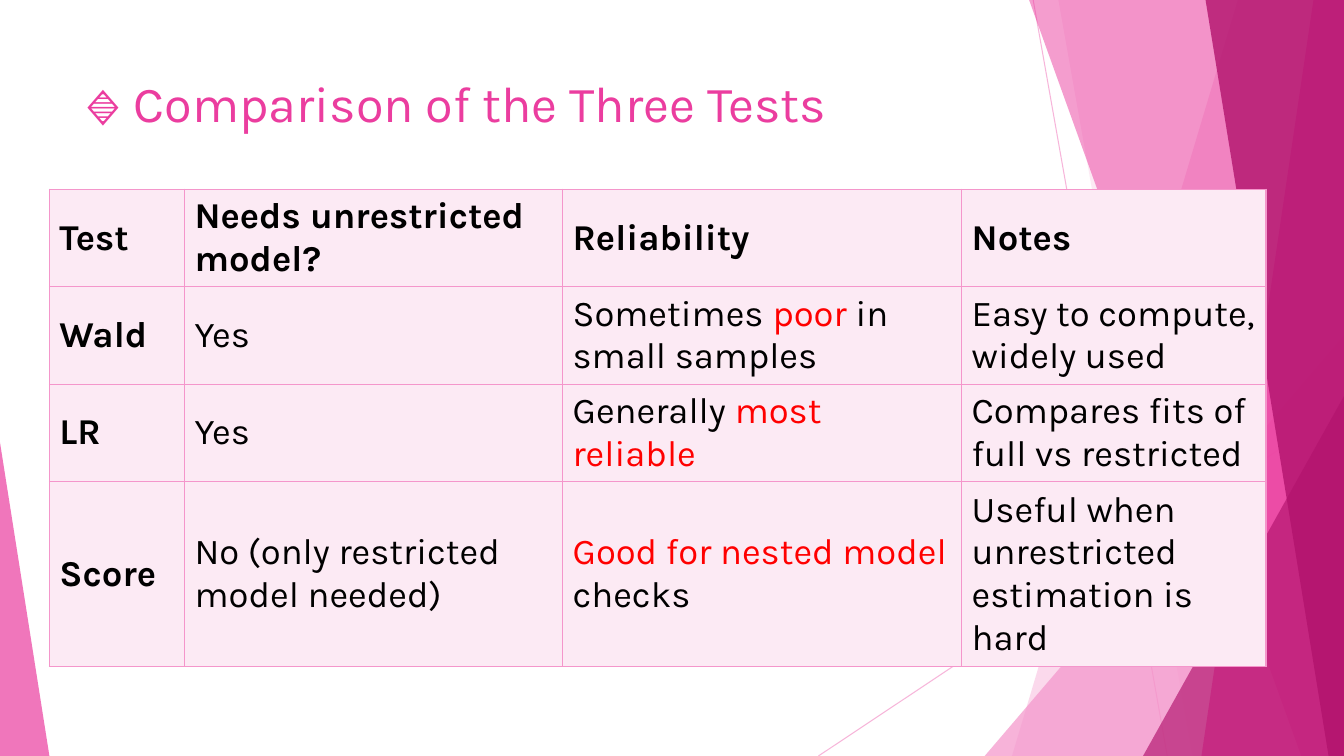
from dataclasses import dataclass

from lxml import etree
from pptx import Presentation
from pptx.dml.color import RGBColor
from pptx.enum.dml import MSO_FILL
from pptx.enum.shapes import MSO_CONNECTOR, MSO_SHAPE
from pptx.enum.text import MSO_ANCHOR
from pptx.oxml.ns import qn
from pptx.util import Pt

STRAIGHT = MSO_CONNECTOR.STRAIGHT
TRIANGLE = MSO_SHAPE.ISOSCELES_TRIANGLE
MIDDLE, TOP = MSO_ANCHOR.MIDDLE, MSO_ANCHOR.TOP
SOLID = MSO_FILL.SOLID

WIDTH, HEIGHT = 960, 540
FONT = "Karla"
COLORS = {
    "light": "F496CB",
    "pink": "EB3D9F",
    "dark": "B2136D",
    "cell": "FCEAF4",
    "black": "000000",
    "red": "FF0000",
}


@dataclass
class Ray:
    """A thin line from start to end."""
    x1: float
    y1: float
    x2: float
    y2: float


@dataclass
class Band:
    """A full-height facet that reaches to the right edge of the page."""
    top_x: float
    bottom_x: float
    color: str
    opacity: int


@dataclass
class Corner:
    """A triangle standing on the bottom edge; apex 0 is left, 1 is right."""
    left: float
    top: float
    width: float
    apex: int
    color: str
    opacity: int


DECORATION = [
    Ray(738, 0, 833.8, HEIGHT),
    Ray(WIDTH, 290.2, 584.6, HEIGHT),
    Band(884.2, 722.9, "light", 36),
    Band(756, 851.8, "light", 20),
    Corner(703.4, 239.8, 256.6, 1, "light", 72),
    Band(735.1, 929.5, "pink", 50),
    Band(938.2, 858.2, "pink", 70),
    Band(861.1, 949, "dark", 80),
    Corner(816.5, 283, 143.5, 1, "dark", 66),
    Corner(0, 316.1, 35.3, 0, "pink", 70),
]

TITLE = "🔹 Comparison of the Three Tests"

# Text between asterisks is red
ROWS = [
    ["Test", "Needs unrestricted model?", "Reliability", "Notes"],
    ["Wald", "Yes", "Sometimes *poor *in small samples", "Easy to compute, widely used"],
    ["LR", "Yes", "Generally *most reliable*", "Compares fits of full vs restricted"],
    ["Score", "No (only restricted model needed)", "*Good for nested model *checks",
     "Useful when unrestricted estimation is hard"],
]
COLUMN_WIDTHS = [96.5, 270, 285.1, 217.4]
ROW_HEIGHTS = [68.2, 68.2, 68.2, 129.4]


def rgb(name: str) -> RGBColor:
    return RGBColor.from_string(COLORS[name])


def set_opacity(shape, percent: int) -> None:
    color = next(shape._element.spPr.iter(qn("a:srgbClr")))
    etree.SubElement(color, qn("a:alpha")).set("val", str(percent * 1000))


def paint(shape, color: str, opacity: int) -> None:
    shape.shadow.inherit = False
    shape.fill.solid()
    shape.fill.fore_color.rgb = rgb(color)
    shape.line.fill.background()
    set_opacity(shape, opacity)


def draw_ray(page, ray: Ray) -> None:
    line = page.shapes.add_connector(
        STRAIGHT, Pt(ray.x1), Pt(ray.y1), Pt(ray.x2), Pt(ray.y2))
    line.line.color.rgb = rgb("light")
    line.line.width = Pt(0.75)
    set_opacity(line, 70)
    etree.SubElement(line._element.spPr, qn("a:effectLst"))


def draw_band(page, band: Band) -> None:
    builder = page.shapes.build_freeform(Pt(band.top_x), 0)
    builder.add_line_segments([
        (Pt(WIDTH), 0), (Pt(WIDTH), Pt(HEIGHT)), (Pt(band.bottom_x), Pt(HEIGHT))])
    paint(builder.convert_to_shape(), band.color, band.opacity)


def draw_corner(page, corner: Corner) -> None:
    shape = page.shapes.add_shape(
        TRIANGLE, Pt(corner.left), Pt(corner.top),
        Pt(corner.width), Pt(HEIGHT - corner.top))
    shape.adjustments[0] = corner.apex
    paint(shape, corner.color, corner.opacity)


def format_span(span, size: float, color: str, bold: bool = False) -> None:
    span.font.name = FONT
    span.font.size = Pt(size)
    span.font.bold = bold
    span.font.color.rgb = rgb(color)


def draw_title(page) -> None:
    box = page.shapes.add_textbox(Pt(53.3), Pt(48.2), Pt(676.8), Pt(103.7))
    frame = box.text_frame
    frame.word_wrap = True
    frame.vertical_anchor = TOP
    frame.text = TITLE
    format_span(frame.paragraphs[0].runs[0], 36, "pink")


def add_borders(cell) -> None:
    properties = cell._tc.get_or_add_tcPr()
    for side in ("a:lnL", "a:lnR", "a:lnT", "a:lnB"):
        border = etree.SubElement(properties, qn(side), w=str(Pt(1)))
        fill = etree.SubElement(border, qn("a:solidFill"))
        etree.SubElement(fill, qn("a:srgbClr"), val=COLORS["light"])


def fill_cell(cell, text: str, bold: bool) -> None:
    add_borders(cell)
    cell.fill.solid()
    cell.fill.fore_color.rgb = rgb("cell")
    cell.vertical_anchor = MIDDLE
    para = cell.text_frame.paragraphs[0]
    for index, part in enumerate(text.split("*")):
        if part:
            span = para.add_run()
            span.text = part
            format_span(span, 26, "red" if index % 2 else "black", bold)


def draw_table(page) -> None:
    table = page.shapes.add_table(
        len(ROWS), len(COLUMN_WIDTHS), Pt(35.3), Pt(135.2),
        Pt(sum(COLUMN_WIDTHS)), Pt(sum(ROW_HEIGHTS))).table
    table.first_row = table.horz_banding = False
    for column, width in zip(table.columns, COLUMN_WIDTHS):
        column.width = Pt(width)
    for row, height in zip(table.rows, ROW_HEIGHTS):
        row.height = Pt(height)
    for r, texts in enumerate(ROWS):
        for c, text in enumerate(texts):
            fill_cell(table.cell(r, c), text, bold=r == 0 or c == 0)


def main() -> None:
    deck = Presentation()
    deck.slide_width, deck.slide_height = Pt(WIDTH), Pt(HEIGHT)
    page = deck.slides.add_slide(deck.slide_layouts[6])

    # Faceted background, back to front
    painters = {Ray: draw_ray, Band: draw_band, Corner: draw_corner}
    for part in DECORATION:
        painters[type(part)](page, part)

    # Content
    draw_title(page)
    draw_table(page)
    deck.save("out.pptx")


if __name__ == "__main__":
    main()
